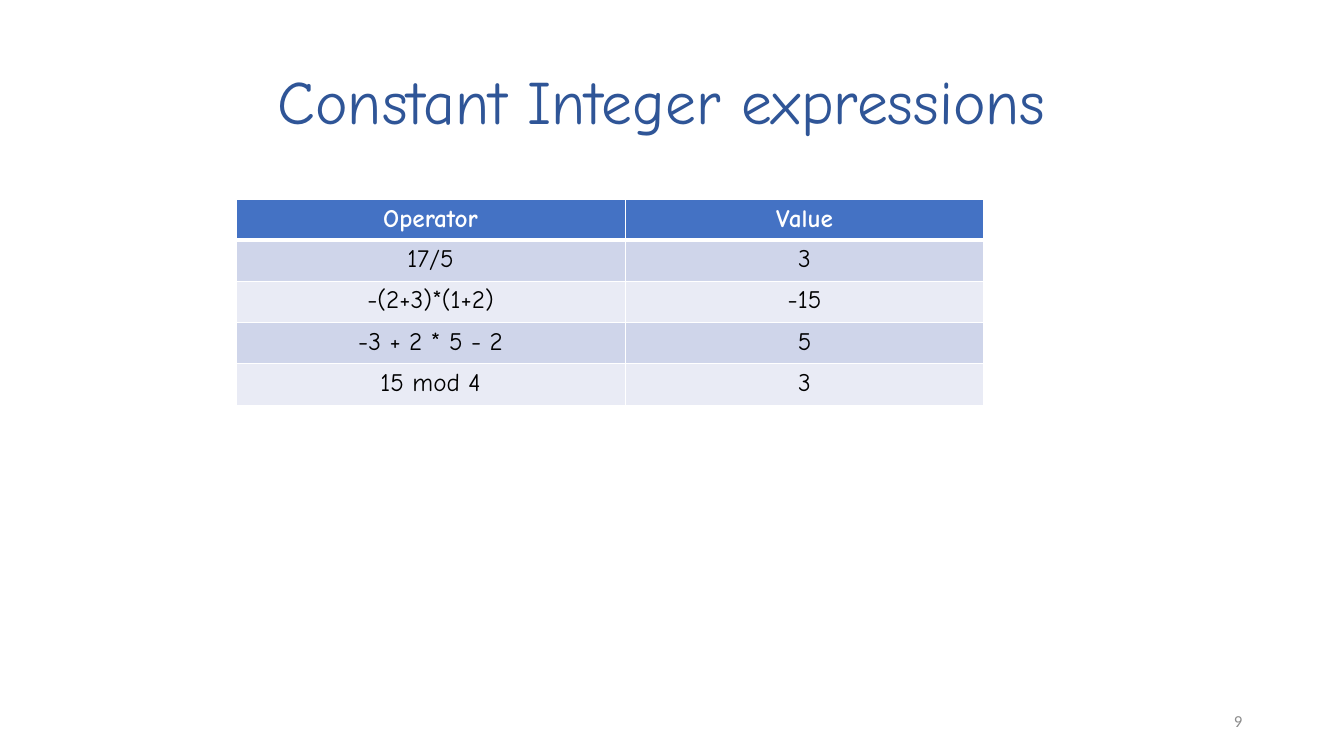
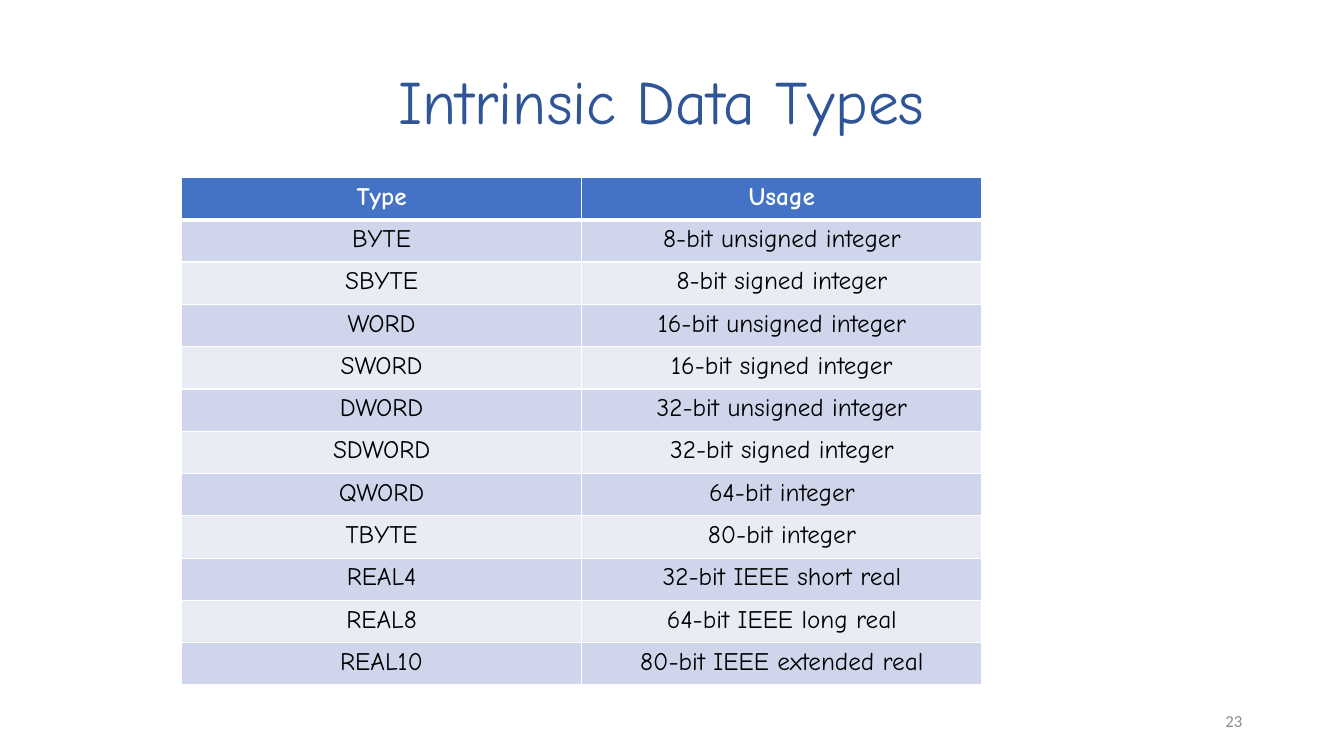
from lxml.etree import SubElement
from pptx import Presentation
from pptx.dml.color import RGBColor
from pptx.enum.text import MSO_ANCHOR, PP_ALIGN
from pptx.oxml.ns import qn
from pptx.util import Pt

PX = 9144  # 100 px to the inch
COLORS = {
    "title": "2F5597",
    "page_number": "8C8C8C",
    "header": "4472C4",
    "header_text": "FFFFFF",
    "band_dark": "CFD5EA",
    "band_light": "E9EBF5",
    "body_text": "000000",
    "border": "FFFFFF",
}
HEADING_FONT = "Comic Neue"
NUMBER_FONT = "Calibri"
TITLE_BOX = (210, 31, 893, 145)
NUMBER_BOX = (942, 695, 300, 40)

SLIDES = [
    {
        "title": "Constant Integer expressions",
        "number": "9",
        "position": (234, 198),
        "columns": (386, 356),
        "header_height": 38,
        "row_height": 41,
        "rows": [
            ("Operator", "Value"),
            ("17/5", "3"),
            ("-(2+3)*(1+2)", "-15"),
            ("-3 + 2 * 5 - 2", "5"),
            ("15 mod 4", "3"),
        ],
    },
    {
        "title": "Intrinsic Data Types",
        "number": "23",
        "position": (180, 176),
        "columns": (397, 397),
        "header_height": 42,
        "row_height": 42,
        "rows": [
            ("Type", "Usage"),
            ("BYTE", "8-bit unsigned integer"),
            ("SBYTE", "8-bit signed integer"),
            ("WORD", "16-bit unsigned integer"),
            ("SWORD", "16-bit signed integer"),
            ("DWORD", "32-bit unsigned integer"),
            ("SDWORD", "32-bit signed integer"),
            ("QWORD", "64-bit integer"),
            ("TBYTE", "80-bit integer"),
            ("REAL4", "32-bit IEEE short real"),
            ("REAL8", "64-bit IEEE long real"),
            ("REAL10", "80-bit IEEE extended real"),
        ],
    },
]


def write_text(text_frame, text, font_name, size, color, alignment, bold=False):
    paragraph = text_frame.paragraphs[0]
    paragraph.text = text
    paragraph.alignment = alignment
    paragraph.font.name = font_name
    paragraph.font.size = Pt(size)
    paragraph.font.bold = bold
    paragraph.font.color.rgb = RGBColor.from_string(COLORS[color])
    return paragraph


def add_text_box(slide, box, *text_style):
    shape = slide.shapes.add_textbox(*(length * PX for length in box))
    shape.text_frame.word_wrap = True
    shape.text_frame.vertical_anchor = MSO_ANCHOR.MIDDLE
    return write_text(shape.text_frame, *text_style)


presentation = Presentation()
presentation.slide_width = 1333 * PX
presentation.slide_height = 750 * PX

for content in SLIDES:
    slide = presentation.slides.add_slide(presentation.slide_layouts[6])

    # Title and page number
    title = add_text_box(slide, TITLE_BOX, content["title"], HEADING_FONT, 44, "title", PP_ALIGN.CENTER)
    title.line_spacing = 0.9
    add_text_box(slide, NUMBER_BOX, content["number"], NUMBER_FONT, 12, "page_number", PP_ALIGN.RIGHT)

    # Table grid
    rows, columns = content["rows"], content["columns"]
    heights = [content["header_height"]] + [content["row_height"]] * (len(rows) - 1)
    left, top = content["position"]
    table = slide.shapes.add_table(
        len(rows), len(columns), left * PX, top * PX, sum(columns) * PX, sum(heights) * PX
    ).table
    for column, width in zip(table.columns, columns):
        column.width = width * PX
    for row, height in zip(table.rows, heights):
        row.height = height * PX

    # Table cells
    for row_index, row_texts in enumerate(rows):
        is_header = row_index == 0
        if is_header:
            fill_color, text_color = "header", "header_text"
        else:
            fill_color = "band_dark" if row_index % 2 else "band_light"
            text_color = "body_text"
        # The header is set off by a thicker line below it
        border_widths = {
            "a:lnL": 1,
            "a:lnR": 1,
            "a:lnT": 3 if row_index == 1 else 1,
            "a:lnB": 3 if is_header else 1,
        }
        for column_index, text in enumerate(row_texts):
            cell = table.cell(row_index, column_index)
            write_text(cell.text_frame, text, HEADING_FONT, 18, text_color, PP_ALIGN.CENTER, is_header)
            properties = cell._tc.get_or_add_tcPr()
            for tag, width in border_widths.items():
                line = SubElement(properties, qn(tag), w=str(Pt(width)))
                line_fill = SubElement(line, qn("a:solidFill"))
                SubElement(line_fill, qn("a:srgbClr"), val=COLORS["border"])
            cell.fill.solid()
            cell.fill.fore_color.rgb = RGBColor.from_string(COLORS[fill_color])

presentation.save("out.pptx")
